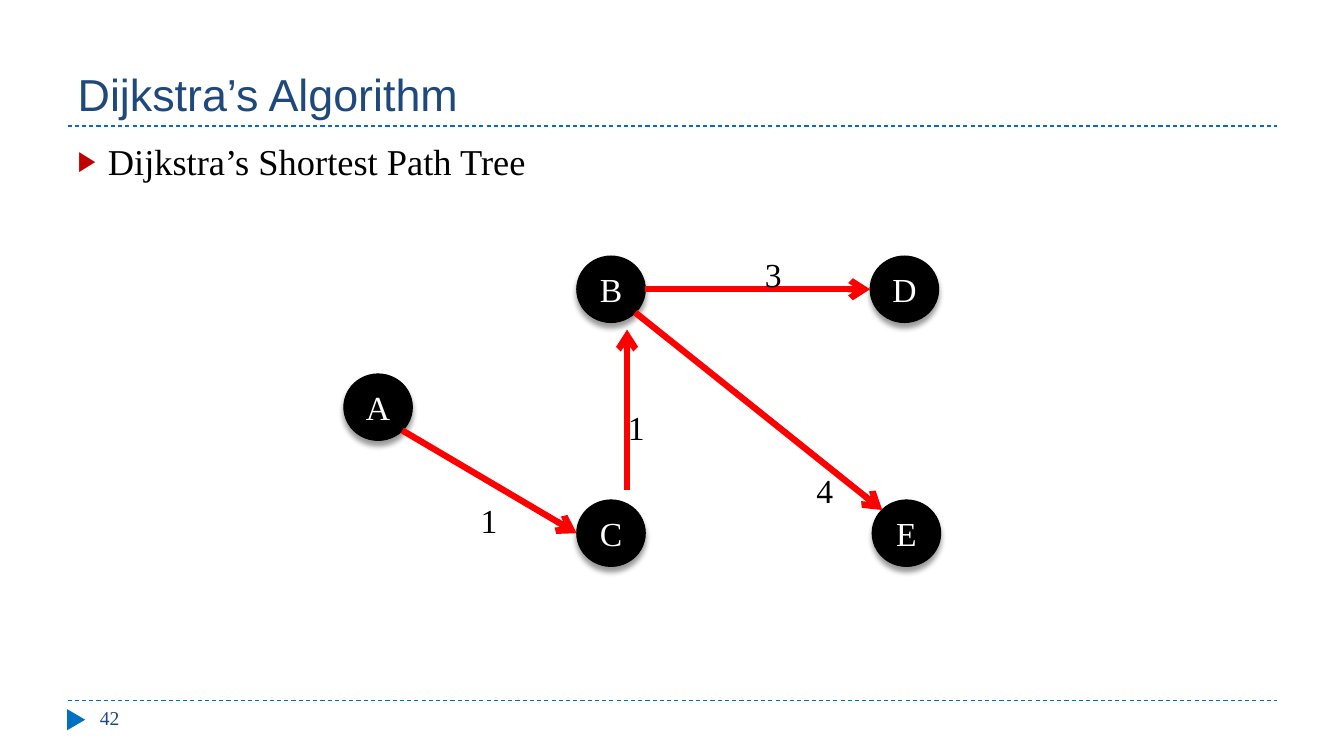
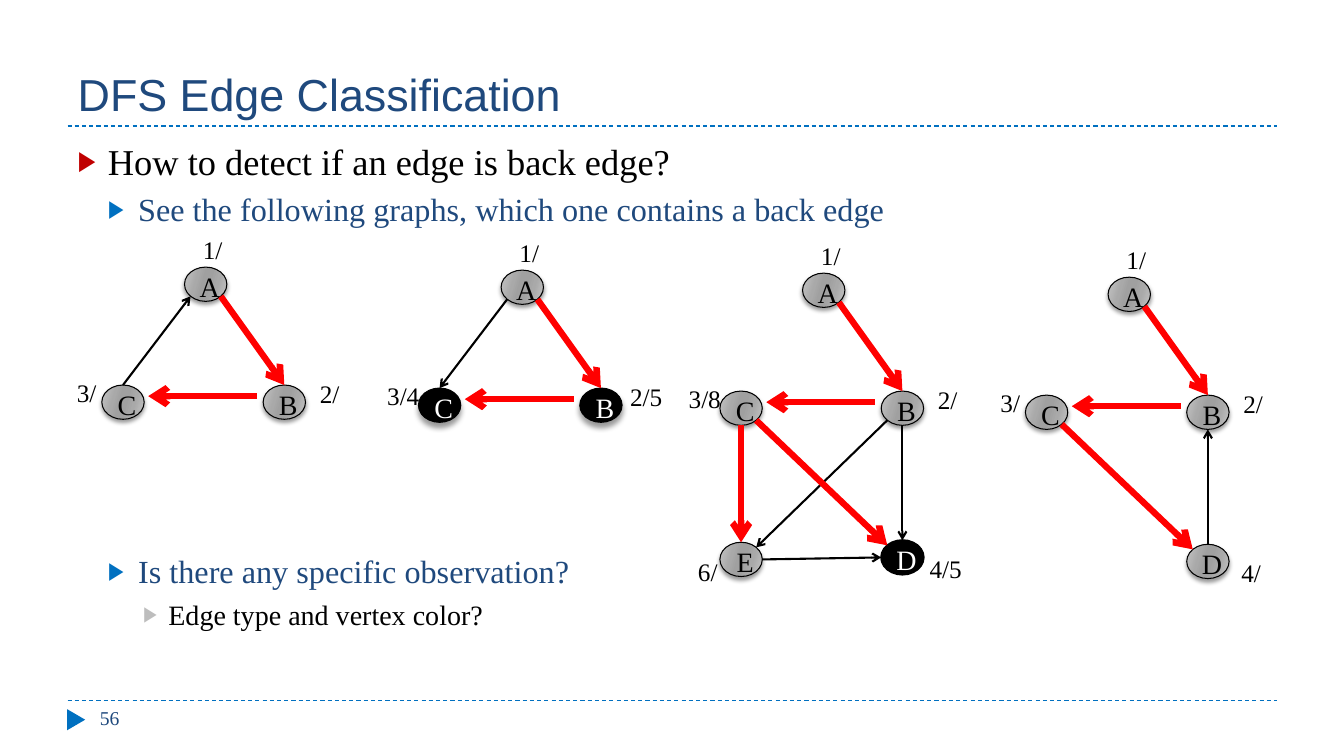
import math
from collections import namedtuple

import pptx
import pptx.dml.color
import pptx.enum.dml
import pptx.enum.shapes
import pptx.enum.text
import pptx.oxml
import pptx.oxml.ns
import pptx.util

RGB = pptx.dml.color.RGBColor
SHAPE = pptx.enum.shapes.MSO_SHAPE
STRAIGHT = pptx.enum.shapes.MSO_CONNECTOR.STRAIGHT
ANCHOR = pptx.enum.text.MSO_ANCHOR
ALIGN = pptx.enum.text.PP_ALIGN
Pt = pptx.util.Pt

NAVY = RGB(0x1F, 0x49, 0x7D)
BLUE = RGB(0x00, 0x70, 0xC0)
CRIMSON = RGB(0xC0, 0x00, 0x00)
SILVER = RGB(0xBD, 0xBD, 0xBD)
RED = RGB(0xFF, 0x00, 0x00)
BLACK = RGB(0x00, 0x00, 0x00)
WHITE = RGB(0xFF, 0xFF, 0xFF)
SHEEN_LIGHT = RGB(0xC5, 0xC5, 0xC5)
SHEEN_MID = RGB(0xA9, 0xA9, 0xA9)
SHEEN_DARK = RGB(0xA0, 0xA0, 0xA0)
SHEEN = [(0, SHEEN_LIGHT), (30, SHEEN_MID), (45, SHEEN_DARK),
         (55, SHEEN_DARK), (73, SHEEN_MID), (100, SHEEN_LIGHT)]

HEADING_FONT = "Arial"
BODY_FONT = "Times New Roman"
EMU_PER_PX = 9144

Vertex = namedtuple("Vertex", "fill ink outline shadow")
VISITED = Vertex(None, BLACK, 0.75, (3, 2))
FINISHED = Vertex(BLACK, WHITE, 0.75, (4, 3.4))
FLAT = Vertex(BLACK, WHITE, 1.5, None)

Level = namedtuple("Level", "size color bullet margin hang before")
LEVELS = [Level(26, BLACK, CRIMSON, 30, 30, 6),
          Level(23, NAVY, BLUE, 60, 30, 5),
          Level(20, BLACK, SILVER, 90, 25, 5)]

COMPASS = {"n": (0, -1), "s": (0, 1), "w": (-1, 0), "e": (1, 0),
           "nw": (-1, -1), "ne": (1, -1), "sw": (-1, 1), "se": (1, 1)}


def px(length):
    return round(length * EMU_PER_PX)


def xml(tag, content="", **attributes):
    attrs = "".join(f' {key}="{value}"' for key, value in attributes.items())
    return pptx.oxml.parse_xml(
        f"<a:{tag} {pptx.oxml.ns.nsdecls('a')}{attrs}>{content}</a:{tag}>")


def write(paragraph, text, size=18, color=BLACK, font=BODY_FONT, align=ALIGN.LEFT):
    paragraph.alignment = align
    run = paragraph.add_run()
    run.text = text
    run.font.size = Pt(size)
    run.font.name = font
    run.font.color.rgb = color


def rim_point(center, radii, site):
    if site not in COMPASS:
        return center[0] + site[0], center[1] + site[1]
    dx, dy = COMPASS[site]
    reach = math.hypot(dx, dy)
    return (round(center[0] + radii[0] * dx / reach),
            round(center[1] + radii[1] * dy / reach))


class Deck:
    def __init__(self):
        self.show = pptx.Presentation()
        self.show.slide_width = px(1333)
        self.show.slide_height = px(750)
        self.slide = None
        self.canvas = None

    def place(self, shape, x, y, width, height):
        shape.left, shape.top = px(x), px(y)
        shape.width, shape.height = px(width), px(height)

    def start_slide(self, title, number):
        self.slide = self.show.slides.add_slide(self.show.slide_layouts[1])
        self.canvas = self.slide.shapes
        for rule_y in (695, 125):
            self.line((67, rule_y), (1267, rule_y), BLUE, 0.75, dashed=True)
        marker = self.canvas.add_shape(SHAPE.ISOSCELES_TRIANGLE,
                                       px(65), px(705), px(21), px(18))
        marker.rotation = 90
        marker.shadow.inherit = False
        marker.fill.solid()
        marker.fill.fore_color.rgb = BLUE
        marker.line.fill.background()
        heading = self.canvas.title
        self.place(heading, 67, 17, 1200, 108)
        heading.text_frame.vertical_anchor = ANCHOR.BOTTOM
        heading.text_frame.auto_size = pptx.enum.text.MSO_AUTO_SIZE.NONE
        write(heading.text_frame.paragraphs[0], title, size=32, color=NAVY,
              font=HEADING_FONT)
        self.label(str(number), 99, 700, 269, 30, size=14, color=NAVY)

    def bullets(self, items):
        body = self.slide.placeholders[1]
        self.place(body, 67, 133, 1200, 540)
        frame = body.text_frame
        frame.auto_size = pptx.enum.text.MSO_AUTO_SIZE.NONE
        for index, (depth, text, gap) in enumerate(items):
            paragraph = frame.add_paragraph() if index else frame.paragraphs[0]
            level = LEVELS[depth]
            paragraph.level = depth
            paragraph.space_before = Pt(level.before + gap)
            write(paragraph, text, size=level.size, color=level.color)
            props = paragraph._p.get_or_add_pPr()
            props.set("marL", str(px(level.margin)))
            props.set("indent", str(-px(level.hang)))
            props.append(xml("buClr", f'<a:srgbClr val="{level.bullet}"/>'))
            props.append(xml("buSzPct", val=76000))
            props.append(xml("buFont", typeface=HEADING_FONT))
            props.append(xml("buChar", char="▶"))

    def label(self, text, x, y, width, height, **style):
        box = self.canvas.add_textbox(px(x), px(y), px(width), px(height))
        self.fill_frame(box.text_frame, text, **style)

    def fill_frame(self, frame, text, inset=(0, 0), **style):
        frame.word_wrap = True
        frame.margin_left, frame.margin_top = px(inset[0]), px(inset[1])
        frame.margin_right = frame.margin_bottom = 0
        write(frame.paragraphs[0], text, **style)

    def centered_label(self, text, center, size):
        self.label(text, center[0] - 25, center[1] - 15, 50, 30, size=size,
                   align=ALIGN.CENTER)

    def line(self, start, end, color, weight, dashed=False, arrow=False):
        link = self.canvas.add_connector(STRAIGHT, *map(px, start + end))
        link.line.color.rgb = color
        link.line.width = Pt(weight)
        if dashed:
            link.line.dash_style = pptx.enum.dml.MSO_LINE.DASH
        if arrow:
            link.line._get_or_add_ln().append(xml("tailEnd", type="arrow"))
        link._element.spPr.append(xml("effectLst"))

    def vertex(self, name, center, radii, look, size, inset):
        disc = self.canvas.add_shape(
            SHAPE.OVAL, px(center[0] - radii[0]), px(center[1] - radii[1]),
            px(2 * radii[0]), px(2 * radii[1]))
        disc.shadow.inherit = False
        if look.fill is None:
            self.sheen(disc)
        else:
            disc.fill.solid()
            disc.fill.fore_color.rgb = look.fill
        disc.line.color.rgb = BLACK
        disc.line.width = Pt(look.outline)
        if look.shadow:
            blur, distance = look.shadow
            effects = disc._element.spPr.find(pptx.oxml.ns.qn("a:effectLst"))
            effects.append(xml(
                "outerShdw",
                '<a:srgbClr val="000000"><a:alpha val="40000"/></a:srgbClr>',
                blurRad=Pt(blur), dist=Pt(distance), dir=5400000, rotWithShape=0))
        disc.text_frame.vertical_anchor = ANCHOR.MIDDLE
        self.fill_frame(disc.text_frame, name, inset=inset, size=size,
                        color=look.ink, align=ALIGN.CENTER)

    def sheen(self, disc):
        disc.fill.gradient()
        gradient = disc._element.spPr.find(pptx.oxml.ns.qn("a:gradFill"))
        for child in list(gradient):
            gradient.remove(child)
        stops = "".join(
            f'<a:gs pos="{position * 1000}"><a:srgbClr val="{color}"/></a:gs>'
            for position, color in SHEEN)
        gradient.append(xml("gsLst", stops))
        gradient.append(xml("lin", ang=16 * 60000, scaled=0))

    def graph(self, centers, radii, looks, edges, labels, size, label_size,
              inset=(0, 0)):
        self.canvas = self.slide.shapes.add_group_shape().shapes
        for name, center in centers.items():
            self.vertex(name, center, radii, looks.get(name, VISITED), size, inset)
        for source, leave, target, enter, color in edges:
            self.line(rim_point(centers[source], radii, leave),
                      rim_point(centers[target], radii, enter),
                      color, 4.5 if color == RED else 1.5, arrow=True)
        for text, center in labels:
            self.centered_label(text, center, label_size)
        self.canvas = self.slide.shapes


def shortest_path_slide(deck):
    deck.start_slide("Dijkstra’s Algorithm", 42)
    deck.bullets([(0, "Dijkstra’s Shortest Path Tree", 0)])
    centers = {"A": (375, 404), "B": (606, 287), "C": (606, 529),
               "D": (897, 287), "E": (899, 529)}
    edges = [("A", "se", "C", "w", RED), ("C", (16, -43), "B", (16, 40), RED),
             ("B", "e", "D", "w", RED), ("B", "se", "E", "nw", RED)]
    weights = [("1", (485, 511)), ("1", (631, 419)),
               ("3", (767, 267)), ("4", (818, 481))]
    deck.graph(centers, (34, 33), dict.fromkeys(centers, FINISHED), edges,
               weights, size=24, label_size=24)


def edge_classification_slide(deck):
    deck.start_slide("DFS Edge Classification", 56)
    deck.bullets([
        (0, "How to detect if an edge is back edge?", 0),
        (1, "See the following graphs, which one contains a back edge", 0),
        (1, "Is there any specific observation?", 226),
        (2, "Edge type and vertex color?", 0)])
    layout = {"A": (0, 0), "B": (78, 117), "C": (-82, 117),
              "D": (78, 265), "E": (-82, 267)}
    time_offsets = {"A": (7, -35), "B": (45, -9), "C": (-36, -10),
                    "D": (43, 11), "E": (-33, 12)}
    tree = [("A", "se", "B", "n", RED), ("B", (-27, -6), "C", (25, -6), RED)]
    descent = ("C", "se", "D", "nw", RED)
    graphs = [
        ((204, 282), {"A": "1/", "B": "2/", "C": "3/"}, {},
         [("C", "n", "A", "sw", BLACK)]),
        ((518, 285), {"A": "1/", "B": "2/5", "C": "3/4"},
         {"B": FINISHED, "C": FINISHED},
         [("A", "sw", "C", "n", BLACK)]),
        ((817, 288), {"A": "1/", "B": "2/", "C": "3/8", "D": "4/5", "E": "6/"},
         {"D": FLAT},
         [("B", "s", "D", "n", BLACK), ("B", "sw", "E", "ne", BLACK),
          ("E", "e", "D", "w", BLACK), ("C", "s", "E", "n", RED), descent]),
        ((1120, 292), {"A": "1/", "B": "2/", "C": "3/", "D": "4/"}, {},
         [("D", "n", "B", "s", BLACK), descent]),
    ]
    for (x, y), times, looks, extra_edges in graphs:
        centers = {name: (x + layout[name][0], y + layout[name][1])
                   for name in times}
        labels = [(time, rim_point(centers[name], (0, 0), time_offsets[name]))
                  for name, time in times.items()]
        deck.graph(centers, (21, 17), looks, tree + extra_edges, labels,
                   size=20, label_size=18, inset=(8, 4))


def main():
    deck = Deck()
    shortest_path_slide(deck)
    edge_classification_slide(deck)
    deck.show.save("out.pptx")


if __name__ == "__main__":
    main()
